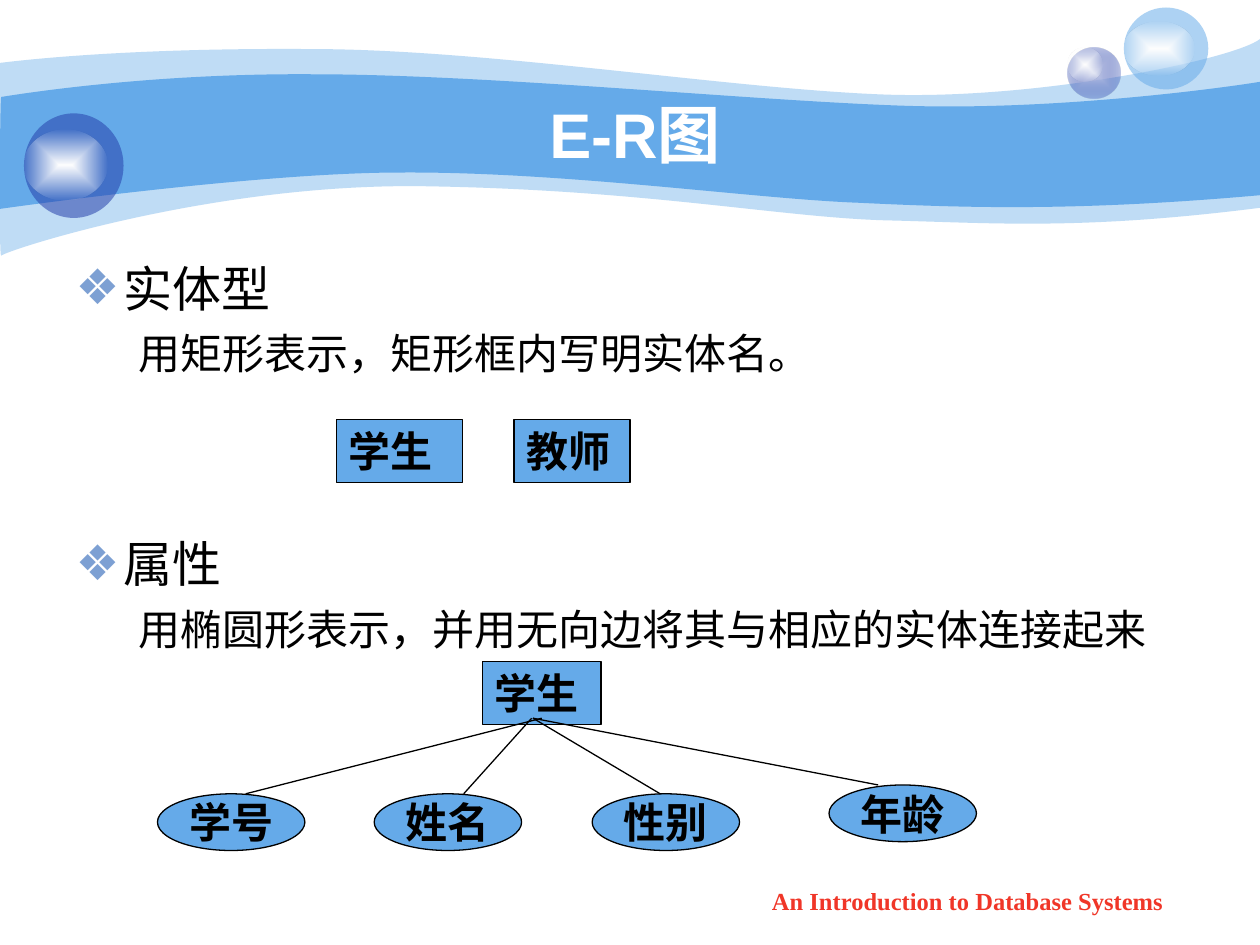
from lxml import etree
from pptx import Presentation
from pptx import util as u
from pptx.dml import color
from pptx.enum import shapes, text
from pptx.oxml import ns

COLORS = {"sky": "65AAE9", "navy": "233DA9", "lilac": "C7CEE9", "white": "FFFFFF",
          "black": "000000", "bullet": "7DA0D3", "red": "F03628"}
LABEL = {"name": "Times New Roman", "size": u.Pt(24), "bold": True}
ELLIPSE, RECTANGLE = shapes.MSO_SHAPE.OVAL, shapes.MSO_SHAPE.RECTANGLE

# Each band: a start point, then cubic curves as control, control, end.
PALE_BAND = [
    (0, 0.5),
    (0.24, 0.47), (1.08, 0.38), (2.47, 0.39),
    (3.86, 0.39), (5.75, 0.7), (6.99, 0.75),
    (8.22, 0.8), (9.8, 0.47), (10, 0.31),
    (10, 0.31), (10, 1.65), (10, 1.65),
    (8.58, 1.83), (7.88, 1.77), (7.05, 1.75),
    (6.22, 1.73), (5.15, 1.51), (3.43, 1.48),
    (1.72, 1.44), (0.04, 1.99), (0.01, 2.03),
    (-0.01, 2.08), (0, 0.75), (0, 0.5),
]
MAIN_BAND = [
    (0.01, 0.77),
    (0.02, 0.77), (1.1, 0.58), (2.48, 0.59),
    (3.87, 0.59), (5.96, 0.8), (7.18, 0.84),
    (8.41, 0.88), (9.76, 0.69), (10, 0.65),
    (10, 0.65), (10, 1.55), (10, 1.55),
    (8.53, 1.68), (7.65, 1.65), (6.82, 1.61),
    (5.99, 1.58), (4.47, 1.36), (3.17, 1.37),
    (2.03, 1.37), (-0.02, 1.66), (-0.01, 1.66),
    (0, 1.66), (0, 0.77), (0.01, 0.77),
]


def rgb(name):
    return color.RGBColor.from_string(COLORS[name])


def inches(*values):
    return [u.Inches(value) for value in values]


def set_font(font, values, ink):
    for key, value in values.items():
        setattr(font, key, value)
    font.color.rgb = rgb(ink)


def add_color(parent, name, alpha):
    tint = etree.SubElement(parent, ns.qn("a:srgbClr"), val=COLORS[name])
    etree.SubElement(tint, ns.qn("a:alpha"), val=str(alpha * 1000))


def fill_plain(shape, name, alpha=100):
    shape.shadow.inherit = False
    shape.line.fill.background()
    shape.fill.solid()
    shape.fill.fore_color.rgb = rgb(name)
    if alpha < 100:
        solid = shape._element.spPr.find(ns.qn("a:solidFill"))
        solid.clear()
        add_color(solid, name, alpha)


def fill_glow(shape, inner, outer, outer_alpha):
    """Fill with a rectangular gradient running from the centre outwards."""
    fill_plain(shape, inner)
    solid = shape._element.spPr.find(ns.qn("a:solidFill"))
    glow = etree.Element(ns.qn("a:gradFill"), rotWithShape="1")
    stops = etree.SubElement(glow, ns.qn("a:gsLst"))
    for place, name, alpha in ((0, inner, 100), (100000, outer, outer_alpha)):
        add_color(etree.SubElement(stops, ns.qn("a:gs"), pos=str(place)), name, alpha)
    way = etree.SubElement(glow, ns.qn("a:path"), path="rect")
    etree.SubElement(way, ns.qn("a:fillToRect"), l="50000", t="50000", r="50000", b="50000")
    solid.getparent().replace(solid, glow)


def add_band(page, points, alpha):
    start, *rest = [inches(*point) for point in points]
    builder = page.shapes.build_freeform(*start, scale=1.0)
    builder.add_line_segments(rest, close=True)
    band = builder.convert_to_shape()
    segments = list(band._element.iter(ns.qn("a:lnTo")))
    for first, second, third in zip(*[iter(segments)] * 3):
        for other in (second, third):
            first.append(other[0])
            other.getparent().remove(other)
        first.tag = ns.qn("a:cubicBezTo")
    fill_plain(band, "sky", alpha)


def add_bubble(page, box, shine, name, alpha, inner=None):
    """Place a bubble in box, with a highlight given as (drop, width, height)."""
    left, top, width, height = box
    ball = page.shapes.add_shape(ELLIPSE, *inches(*box))
    if inner:
        fill_glow(ball, inner, name, alpha)
    else:
        fill_plain(ball, name, alpha)
    drop, shine_width, shine_height = shine
    light = page.shapes.add_shape(
        ELLIPSE, *inches(left, top + drop, shine_width, shine_height))
    fill_glow(light, "white", "white", 0)


def add_backdrop(page):
    add_band(page, PALE_BAND, 41)
    add_band(page, MAIN_BAND, 100)
    add_bubble(page, (8.47, 0.38, 0.42, 0.4), (0, 0.28, 0.27), "navy", 31, "lilac")
    add_bubble(page, (8.92, 0.06, 0.67, 0.65), (0.11, 0.56, 0.43), "sky", 53)
    add_bubble(page, (0.19, 0.9, 0.79, 0.83), (0.13, 0.66, 0.56), "navy", 53)


def place(shape, box):
    """Move a placeholder into box and in front of the backdrop."""
    shape.left, shape.top, shape.width, shape.height = inches(*box)
    tree = shape._element.getparent()
    tree.append(shape._element)


def add_title(page, box):
    title = page.shapes.title
    place(title, box)
    frame = title.text_frame
    frame.text = "E-R图"
    frame.auto_size = text.MSO_AUTO_SIZE.NONE
    frame.vertical_anchor = text.MSO_ANCHOR.MIDDLE
    para = frame.paragraphs[0]
    para.alignment = text.PP_ALIGN.CENTER
    set_font(para.font, {"name": "Arial", "size": u.Pt(36), "bold": True}, "white")


def add_body(page, box):
    body = page.placeholders[1]
    place(body, box)
    frame = body.text_frame
    frame.auto_size = text.MSO_AUTO_SIZE.NONE
    rows = [("实体型", 0, 0), ("用矩形表示，矩形框内写明实体名。", 1, 6),
            ("属性", 0, 89), ("用椭圆形表示，并用无向边将其与相应的实体连接起来", 1, 6)]
    for index, (words, level, before) in enumerate(rows):
        para = frame.add_paragraph() if index else frame.paragraphs[0]
        para.text, para.level, para.space_before = words, level, u.Pt(before)
        props = para._p.get_or_add_pPr()
        indent = (0.5, 0) if level else (0.38, -0.38)
        for key, value in zip(("marL", "indent"), inches(*indent)):
            props.set(key, str(value))
        if level:
            etree.SubElement(props, ns.qn("a:buNone"))
        else:
            tint = etree.SubElement(props, ns.qn("a:buClr"))
            etree.SubElement(tint, ns.qn("a:srgbClr"), val=COLORS["bullet"])
            etree.SubElement(props, ns.qn("a:buFont"), typeface="Arial")
            etree.SubElement(props, ns.qn("a:buChar"), char="❖")
        set_font(para.font, {"name": "Arial", "size": u.Pt(24 if level else 28)}, "black")


def add_node(page, kind, box, words):
    """Draw an entity as a rectangle or an attribute as an ellipse."""
    node = page.shapes.add_shape(kind, *inches(*box))
    fill_plain(node, "sky")
    node.line.color.rgb = rgb("black")
    node.line.width = u.Pt(0.75)
    oval = kind == ELLIPSE
    frame = node.text_frame
    frame.text = words
    frame.word_wrap = not oval
    frame.vertical_anchor = text.MSO_ANCHOR.MIDDLE if oval else text.MSO_ANCHOR.TOP
    para = frame.paragraphs[0]
    para.alignment = text.PP_ALIGN.CENTER if oval else text.PP_ALIGN.LEFT
    set_font(para.font, LABEL, "black")


def add_edge(page, start, end):
    edge = page.shapes.add_connector(
        shapes.MSO_CONNECTOR.STRAIGHT, *inches(*start, *end))
    edge.line.color.rgb = rgb("black")
    edge.line.width = u.Pt(0.75)
    etree.SubElement(edge._element.spPr, ns.qn("a:effectLst"))


def add_diagram(page, left, top):
    """Draw an entity above its attributes, joined by plain edges."""
    add_node(page, RECTANGLE, (left + 2.58, top, 0.94, 0.5), "学生")
    # name, ellipse offset, edge start and edge end across, ellipse drop
    attributes = [("学号", 0, 3.05, 0.7, 1.05), ("姓名", 1.72, 2.97, 2.43, 1.05),
                  ("性别", 3.45, 2.98, 3.99, 1.05), ("年龄", 5.33, 2.98, 5.72, 0.98)]
    for name, across, start, end, drop in attributes:
        add_node(page, ELLIPSE, (left + across, top + drop, 1.17, 0.45), name)
        add_edge(page, (left + start, top + 0.45), (left + end, top + drop))


def add_footer(page, box):
    frame = page.shapes.add_textbox(*inches(*box)).text_frame
    frame.word_wrap = True
    frame.text = "An Introduction to Database Systems"
    para = frame.paragraphs[0]
    para.alignment = text.PP_ALIGN.CENTER
    set_font(para.font, {**LABEL, "size": u.Pt(14)}, "red")


def main():
    deck = Presentation()
    deck.slide_width, deck.slide_height = inches(10, 7.5)
    page = deck.slides.add_slide(deck.slide_layouts[1])
    add_backdrop(page)
    add_title(page, (1, 0.75, 8.08, 0.62))
    add_body(page, (0.5, 2, 9, 4.92))
    add_node(page, RECTANGLE, (2.67, 3.33, 1, 0.5), "学生")
    add_node(page, RECTANGLE, (4.08, 3.33, 0.92, 0.5), "教师")
    add_diagram(page, 1.25, 5.25)
    add_footer(page, (5.71, 6.98, 3.94, 0.35))
    deck.save("out.pptx")


if __name__ == "__main__":
    main()
